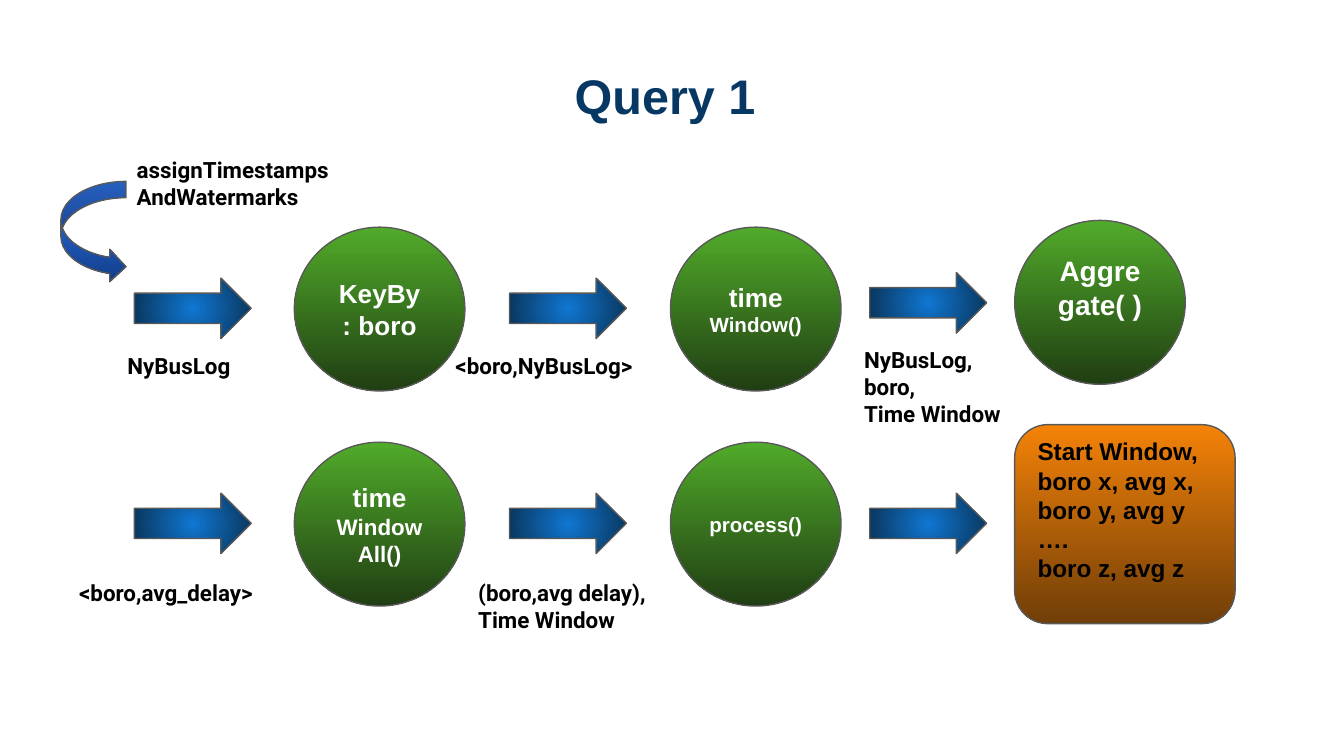
from lxml import etree
from pptx import Presentation
from pptx.dml.color import RGBColor
from pptx.enum import shapes, text
from pptx.oxml import ns
from pptx.util import Pt

COLORS = {
    "white": "FFFFFF", "black": "000000", "title": "073763", "outline": "595959",
    "green": ("51AB2A", "203E13"), "orange": ("F48208", "703E08"),
    "blue": ("1077D2", "093153"), "curve": ("3177EE", "113D8A"),
}
SHAPE = shapes.MSO_SHAPE
LEFT, CENTER = text.PP_ALIGN.LEFT, text.PP_ALIGN.CENTER
TOP, MIDDLE = text.MSO_ANCHOR.TOP, text.MSO_ANCHOR.MIDDLE


class Deck:
    def __init__(self, width, height):
        self.prs = Presentation()
        self.prs.slide_width, self.prs.slide_height = Pt(width), Pt(height)
        self.s = self.prs.slides.add_slide(self.prs.slide_layouts[6])

    def add_lines(self, sp, lines, font, color, align=LEFT, anchor=TOP, **margins):
        tf = sp.text_frame
        frame = {"word_wrap": True, "vertical_anchor": anchor}
        for side in ("left", "top", "right", "bottom"):
            frame["margin_" + side] = Pt(margins.get(side, 7.2))
        for name, value in frame.items():
            setattr(tf, name, value)
        for i, (line, size) in enumerate(lines):
            p = tf.add_paragraph() if i else tf.paragraphs[0]
            p.alignment = align
            r = p.add_run()
            r.text = line
            for name, value in {"name": font, "size": Pt(size), "bold": True}.items():
                setattr(r.font, name, value)
            r.font.color.rgb = RGBColor.from_string(COLORS[color])

    def shape(self, kind, x, y, w, h, fill, radial=False):
        sp = self.s.shapes.add_shape(kind, Pt(x), Pt(y), Pt(w), Pt(h))
        sp.shadow.inherit = False
        sp.fill.gradient()
        sp.fill.gradient_angle = 270
        for stop, position, color in zip(sp.fill.gradient_stops, (0, 1), COLORS[fill]):
            stop.position = position
            stop.color.rgb = RGBColor.from_string(color)
        if radial:
            lin = sp.element.spPr.find(".//" + ns.qn("a:lin"))
            ring = etree.Element(ns.qn("a:path"), {"path": "circle"})
            etree.SubElement(ring, ns.qn("a:fillToRect"), dict.fromkeys("ltrb", "50000"))
            lin.getparent().replace(lin, ring)
        sp.line.color.rgb = RGBColor.from_string(COLORS["outline"])
        sp.line.width = Pt(0.75)
        return sp

    def arrow(self, x, y):
        self.shape(SHAPE.RIGHT_ARROW, x, y, 62.6, 32.4, "blue", radial=True)

    def circle(self, x, y, lines, anchor=MIDDLE, **margins):
        sp = self.shape(SHAPE.OVAL, x, y, 91.4, 87.8, "green")
        self.add_lines(sp, lines, "Arial", "white", CENTER, anchor, **margins)

    def label(self, x, y, w, h, lines, font="Roboto", size=12, color="black", align=LEFT):
        sp = self.s.shapes.add_textbox(Pt(x), Pt(y), Pt(w), Pt(h))
        self.add_lines(sp, [(line, size) for line in lines], font, color, align)


def main():
    deck = Deck(720, 405)
    arrow_x, circle_x = (72, 273, 466), (157.7, 359.2, 543.6)
    arrow_y, circle_y = (149, 264.2), (121.7, 236.9)

    for x in arrow_x[:2]:
        deck.arrow(x, arrow_y[0])
    deck.arrow(arrow_x[2], 146)
    for x in arrow_x:
        deck.arrow(x, arrow_y[1])

    deck.circle(circle_x[0], circle_y[0], [("KeyBy : boro", 14)])
    deck.circle(circle_x[1], circle_y[0], [("time", 14), ("Window()", 11)])
    deck.circle(circle_x[2], 118.1, [("Aggregate( )", 15)], TOP, top=5, bottom=0)
    deck.circle(circle_x[0], circle_y[1], [("time", 14), ("Window", 12), ("All()", 12)])
    deck.circle(circle_x[1], circle_y[1], [("process()", 11)])

    result = deck.shape(SHAPE.ROUNDED_RECTANGLE, circle_x[2], 227.5, 118.1, 106.6, "orange")
    rows = ["Start Window,", "boro x, avg x,", "boro y, avg y", "….", "boro z, avg z"]
    deck.add_lines(result, [(row, 13) for row in rows], "Arial", "black", top=1.2)

    deck.shape(SHAPE.CURVED_RIGHT_ARROW, 32.6, 97.2, 34.9, 54.4, "curve")

    for x, y, w, h, lines in (
        (61.2, 181.4, 83.5, 28, ["NyBusLog"]),
        (236.9, 181.4, 135.4, 28, ["<boro,NyBusLog>"]),
        (455.8, 178.4, 109.4, 59.8, ["NyBusLog,", "boro,", "Time Window"]),
        (35.3, 303.1, 135.4, 42.5, ["<boro,avg_delay>"]),
        (249.1, 303.1, 135.4, 42.5, ["(boro,avg delay),", "Time Window"]),
        (66.2, 76.5, 126.7, 59.8, ["assignTimestamps", "AndWatermarks"]),
    ):
        deck.label(x, y, w, h, lines)
    deck.label(154.8, 28.1, 410.4, 74.2, ["Query 1 "], "Arial", 26, "title", CENTER)

    deck.prs.save("out.pptx")


if __name__ == "__main__":
    main()
